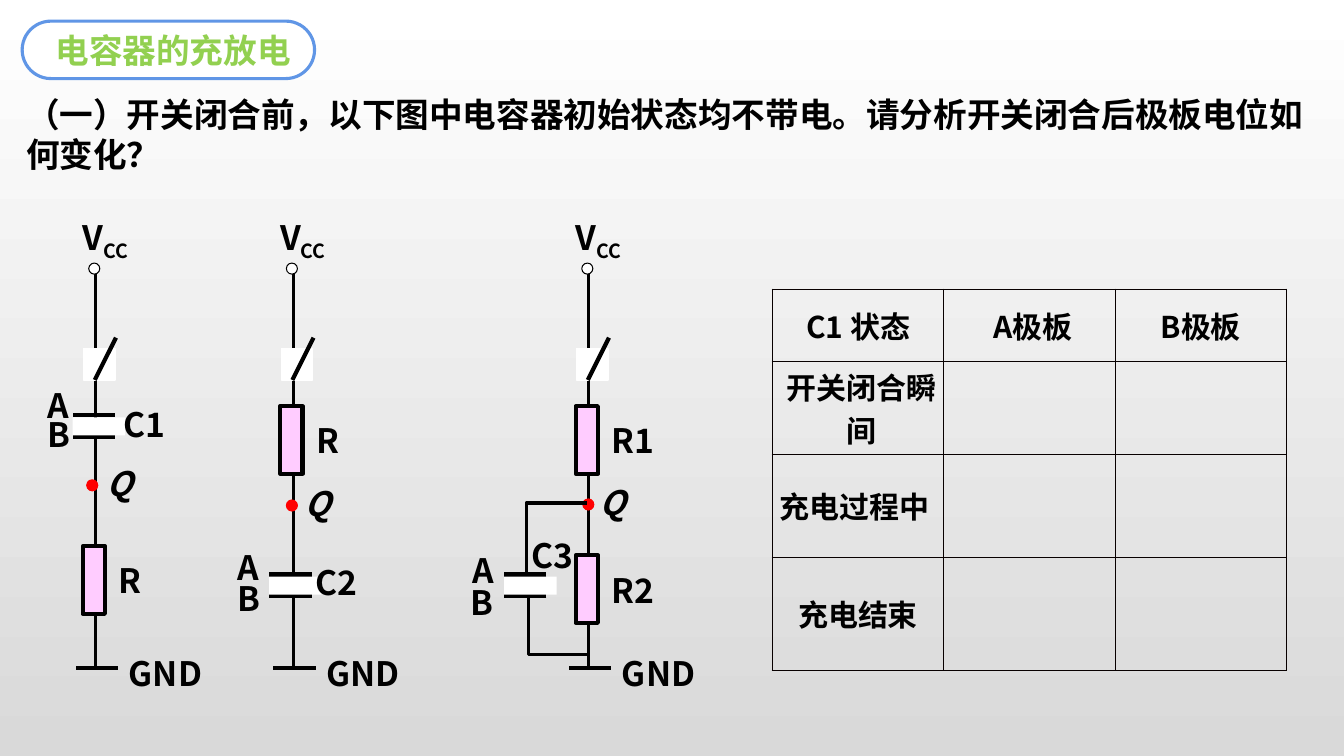
from lxml import etree
from pptx import Presentation
from pptx.dml.color import RGBColor
from pptx.enum.shapes import MSO_CONNECTOR as CONN, MSO_SHAPE as SHAPE
from pptx.enum.text import MSO_ANCHOR, MSO_AUTO_SIZE, PP_ALIGN
from pptx.oxml.ns import qn
from pptx.util import Inches, Pt

BLACK, WHITE, PINK, RED = "000000", "FFFFFF", "FFCCFF", "FF0000"
BORDER = "080000"


def color(value):
    return RGBColor.from_string(value)


class CircuitSlide:
    """Draws circuit parts on one slide in a shared style."""
    font = "Noto Sans CJK SC"
    size = 24

    def __init__(self, prs):
        self.s = prs.slides.add_slide(prs.slide_layouts[5])
        fill = self.s.background.fill
        fill.gradient()
        fill.gradient_angle = 270
        for stop, value in zip(fill.gradient_stops, (WHITE, "D9D9D9")):
            stop.color.rgb = color(value)
        fill.gradient_stops[0].position = 0
        fill.gradient_stops[1].position = 1

    def style(self, r, size=size, value=BLACK, italic=False):
        r.font.name, r.font.size, r.font.bold = self.font, Pt(size), True
        r.font.color.rgb = color(value)
        if italic:
            r.font.italic = True
        ea = etree.Element(qn("a:ea"), typeface=self.font)
        r.font._element.find(qn("a:latin")).addnext(ea)

    def text(self, x, y, text, w=0.5, h=0.5, wrap=False, italic=False):
        box = self.s.shapes.add_textbox(Inches(x), Inches(y), Inches(w), Inches(h))
        tf = box.text_frame
        tf.word_wrap, tf.auto_size = wrap, MSO_AUTO_SIZE.SHAPE_TO_FIT_TEXT
        tf.text = text
        p = tf.paragraphs[0]
        self.style(p.runs[0], italic=italic)
        return p

    def title(self, text):
        pill = self.shape(SHAPE.ROUNDED_RECTANGLE, 0.22, 0.21, 2.9, 0.57,
                          WHITE, "6096E6", 2.25)
        pill.adjustments[0] = 0.5
        title = self.s.shapes.title
        title.left, title.top = Inches(0.45), Inches(0.25)
        title.width, title.height = Inches(2.57), Inches(0.5)
        pill.element.addnext(title.element)
        tf = title.text_frame
        tf.text = text
        tf.vertical_anchor, tf.auto_size = MSO_ANCHOR.TOP, MSO_AUTO_SIZE.SHAPE_TO_FIT_TEXT
        tf.paragraphs[0].alignment = PP_ALIGN.LEFT
        self.style(tf.paragraphs[0].runs[0], value="92D050")

    def shape(self, kind, x, y, w, h, fill, line=None, width=1.0):
        sp = self.s.shapes.add_shape(kind, Inches(x), Inches(y), Inches(w), Inches(h))
        sp.shadow.inherit = False
        sp.fill.solid()
        sp.fill.fore_color.rgb = color(fill)
        if line:
            sp.line.color.rgb, sp.line.width = color(line), Pt(width)
        else:
            sp.line.fill.background()
        return sp

    def line(self, x1, y1, x2, y2, width=3.0, kind=CONN.STRAIGHT):
        cx = self.s.shapes.add_connector(kind, Inches(x1), Inches(y1), Inches(x2), Inches(y2))
        cx.line.color.rgb, cx.line.width = color(BLACK), Pt(width)
        sp_pr = cx.element.spPr
        etree.SubElement(sp_pr, qn("a:effectLst"))
        return sp_pr

    def corner(self, x1, y1, x2, y2):
        """Wire that runs sideways first, then straight up or down."""
        geom = self.line(x1, y1, x2, y2, 2.25, CONN.ELBOW).find(qn("a:prstGeom"))
        etree.SubElement(geom.find(qn("a:avLst")), qn("a:gd"), name="adj1", fmla="val 100000")

    def dot(self, x, y, fill, line):
        self.shape(SHAPE.OVAL, x, y, 0.11, 0.11, fill, line, 0.75)

    def branch(self, x):
        """Supply, switch, main wire and ground around the wire at x."""
        self.text(x + 0.23, 6.43, "GND", 1)
        self.line(x, 6.63, x, 2.7, 2.25)
        self.line(x + 0.22, 6.63, x - 0.2, 6.63)
        self.dot(x - 0.07, 2.61, WHITE, BLACK)
        self.shape(SHAPE.RECTANGLE, x - 0.12, 3.46, 0.31, 0.31, WHITE, WHITE)
        self.line(x - 0.01, 3.77, x + 0.2, 3.35)
        p = self.text(x - 0.23, 2.1, "V", 0.94, wrap=True)
        r = p.add_run()
        r.text = "CC"
        self.style(r)
        r.font._element.set("baseline", "-25000")

    def resistor(self, x, y, name):
        self.shape(SHAPE.RECTANGLE, x - 0.13, y, 0.22, 0.67, PINK, BLACK, 3)
        self.text(x + 0.13, y + 0.09, name, 0.43 if len(name) == 1 else 0.64)

    def node(self, x, y, dot_x):
        self.dot(dot_x, y, RED, RED)
        self.text(x + 0.01, y - 0.22, "Q", 0.47, italic=True)

    def capacitor(self, x, y, name, name_at, a_at, b_at):
        for plate_y in (y + 0.21, y):
            self.line(x + 0.42, plate_y, x, plate_y)
        self.shape(SHAPE.RECTANGLE, x, y + 0.02, 0.52, 0.18, WHITE)
        self.text(*a_at, "A", 0.45)
        self.text(*b_at, "B", 0.43)
        self.text(*name_at, name, 0.63)

    def border(self, cell):
        tc_pr = cell._tc.get_or_add_tcPr()
        for side in ("lnL", "lnR", "lnT", "lnB"):
            ln = etree.SubElement(tc_pr, qn(f"a:{side}"), w=str(Pt(1)))
            fill = etree.SubElement(ln, qn("a:solidFill"))
            etree.SubElement(fill, qn("a:srgbClr"), val=BORDER)

    def table(self, x, y, col_width, heights, header, labels):
        frame = self.s.shapes.add_table(len(heights), len(header), Inches(x), Inches(y),
                                        Inches(col_width * len(header)), Inches(sum(heights)))
        tbl = frame.table
        tbl.first_row = tbl.horz_banding = False
        for col in tbl.columns:
            col.width = Inches(col_width)
        for row, height in zip(tbl.rows, heights):
            row.height = Inches(height)
        for cell in tbl.iter_cells():
            cell.margin_left = cell.margin_right = cell.margin_top = cell.margin_bottom = 0
            cell.vertical_anchor = MSO_ANCHOR.MIDDLE
            self.border(cell)
            cell.fill.background()
        named = [(0, c, text) for c, text in enumerate(header)]
        named += [(i, 0, text) for i, text in enumerate(labels, 1)]
        for i, c, text in named:
            p = tbl.cell(i, c).text_frame.paragraphs[0]
            p.text, p.alignment = text, PP_ALIGN.CENTER
            self.style(p.runs[0], 21.4)
        return tbl


def main():
    prs = Presentation()
    prs.slide_width, prs.slide_height = Inches(13.33), Inches(7.5)
    cs = CircuitSlide(prs)
    cs.text(0.16, 0.88, "（一）开关闭合前，以下图中电容器初始状态均不带电。"
            "请分析开关闭合后极板电位如何变化？", 12.97, 0.91, wrap=True)

    x = 0.95
    cs.branch(x)
    cs.resistor(x, 5.42, "R")
    cs.node(x, 4.76, 0.86)
    cs.capacitor(0.72, 4.12, "C1", (1.13, 3.96), (0.37, 3.77), (0.37, 4.06))

    x = 2.91
    cs.branch(x)
    cs.resistor(x, 4.03, "R")
    cs.node(x, 4.96, 2.84)
    cs.capacitor(2.67, 5.7, "C2", (3.03, 5.53), (2.26, 5.38), (2.26, 5.68))

    x = 5.84
    cs.branch(x)
    cs.resistor(x, 4.03, "R1")
    cs.node(x, 4.95, 5.78)
    cs.capacitor(5, 5.7, "C3", (5.17, 5.26), (4.59, 5.41), (4.57, 5.72))
    cs.resistor(x, 5.51, "R2")
    cs.corner(5.82, 4.99, 5.22, 5.7)
    cs.corner(5.83, 6.49, 5.24, 5.93)

    tbl = cs.table(7.66, 2.87, 1.7, (0.72, 0.92, 1.02, 1.12), ("C1 状态", "A极板", "B极板"),
                   ("开关闭合瞬间", "充电过程中", "充电结束"))
    tbl.cell(0, 1).margin_left = tbl.cell(1, 0).margin_left = Inches(0.07)
    tbl.cell(2, 0).margin_right = Inches(0.07)
    cs.title("电容器的充放电")
    prs.save("out.pptx")


if __name__ == "__main__":
    main()
